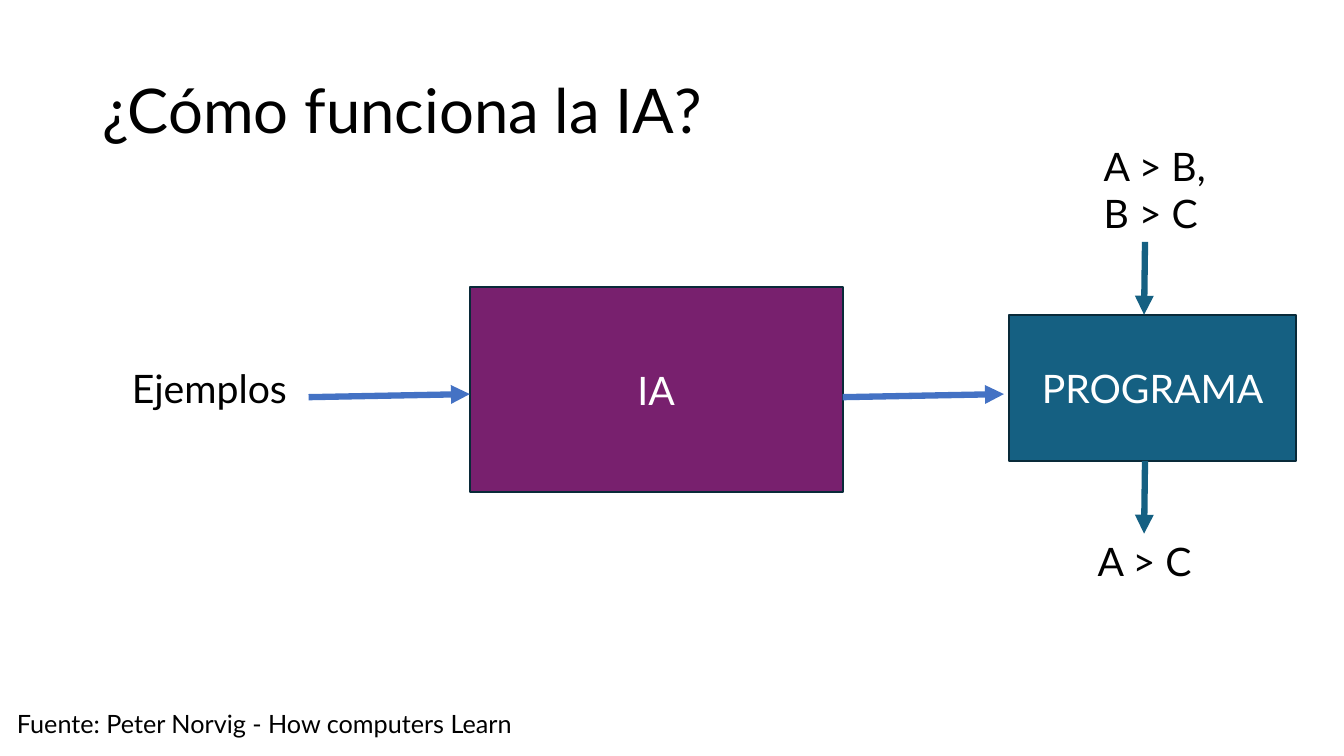
"""Build the slide that explains how AI turns examples into a program."""
import pptx
import pptx.util
import pptx.dml.color
import pptx.enum.shapes
import pptx.enum.text
import pptx.oxml
import pptx.oxml.ns

Pt = pptx.util.Pt
ALIGN = pptx.enum.text.PP_ALIGN
ANCHOR = pptx.enum.text.MSO_ANCHOR

FONT = "Lato"
COLORS = {
    "ink": "000000",
    "white": "FFFFFF",
    "purple": "78206E",
    "teal": "156082",
    "outline": "092A39",
    "blue": "4472C4",
}
TITLE = ("¿Cómo funciona la IA?", (66, 28.75, 828, 104.4))
BLOCKS = [
    ("IA", (335.5, 205.2, 266.4, 146.2), "purple"),
    ("PROGRAMA", (720.7, 224.8, 205.2, 104.4), "teal"),
]
LABELS = [
    (["Ejemplos"], (87.1, 257, 133.9, 41), 28),
    (["A > B,", "B > C"], (781.2, 98, 133.9, 75), 28),
    (["A > C"], (776.9, 380.2, 133.9, 41), 28),
    (["Fuente: Peter Norvig - How computers Learn"], (5, 502.6, 380.9, 29), 18),
]
FLOW_STARTS = [(220.4, 283.7), (601.9, 283.7)]
FLOW_STEP = (115.2, -2.2)
DATA_STARTS = [(817.9, 172.8), (817.9, 329.2)]
DATA_STEP = (-0.7, 52)


def color(name):
    return pptx.dml.color.RGBColor.from_string(COLORS[name])


def write(frame, lines, size=28, ink="ink", align=ALIGN.LEFT, anchor=ANCHOR.TOP, spacing=1.0):
    frame.word_wrap = True
    frame.auto_size = pptx.enum.text.MSO_AUTO_SIZE.NONE
    frame.vertical_anchor = anchor
    for index, line in enumerate(lines):
        para = frame.add_paragraph() if index else frame.paragraphs[0]
        para.alignment = align
        para.line_spacing = spacing
        span = para.add_run()
        span.text = line
        span.font.name = FONT
        span.font.size = Pt(size)
        span.font.color.rgb = color(ink)


def add_arrow(page, start, step, tint):
    end = (start[0] + step[0], start[1] + step[1])
    arrow = page.shapes.add_connector(
        pptx.enum.shapes.MSO_CONNECTOR.STRAIGHT, *map(Pt, start + end))
    arrow.line.color.rgb = color(tint)
    arrow.line.width = Pt(4.5)
    head = pptx.oxml.parse_xml(
        f'<a:tailEnd {pptx.oxml.ns.nsdecls("a")} type="triangle"/>')
    arrow.line._get_or_add_ln().append(head)
    effects = pptx.oxml.parse_xml(f'<a:effectLst {pptx.oxml.ns.nsdecls("a")}/>')
    arrow._element.spPr.append(effects)


def main():
    deck = pptx.Presentation()
    deck.slide_width, deck.slide_height = Pt(960), Pt(540)
    page = deck.slides.add_slide(deck.slide_layouts[5])

    text, place = TITLE
    title = page.shapes.title
    title.left, title.top, title.width, title.height = map(Pt, place)
    write(title.text_frame, [text], size=44, anchor=ANCHOR.MIDDLE, spacing=0.9)

    for text, place, fill in BLOCKS:
        block = page.shapes.add_shape(
            pptx.enum.shapes.MSO_SHAPE.RECTANGLE, *map(Pt, place))
        block.shadow.inherit = False
        block.fill.solid()
        block.fill.fore_color.rgb = color(fill)
        block.line.color.rgb = color("outline")
        block.line.width = Pt(1.5)
        write(block.text_frame, [text], ink="white", align=ALIGN.CENTER, anchor=ANCHOR.MIDDLE)

    for lines, place, size in LABELS:
        box = page.shapes.add_textbox(*map(Pt, place))
        write(box.text_frame, lines, size=size)

    for starts, step, tint in [(FLOW_STARTS, FLOW_STEP, "blue"), (DATA_STARTS, DATA_STEP, "teal")]:
        for start in starts:
            add_arrow(page, start, step, tint)

    deck.save("out.pptx")


if __name__ == "__main__":
    main()
